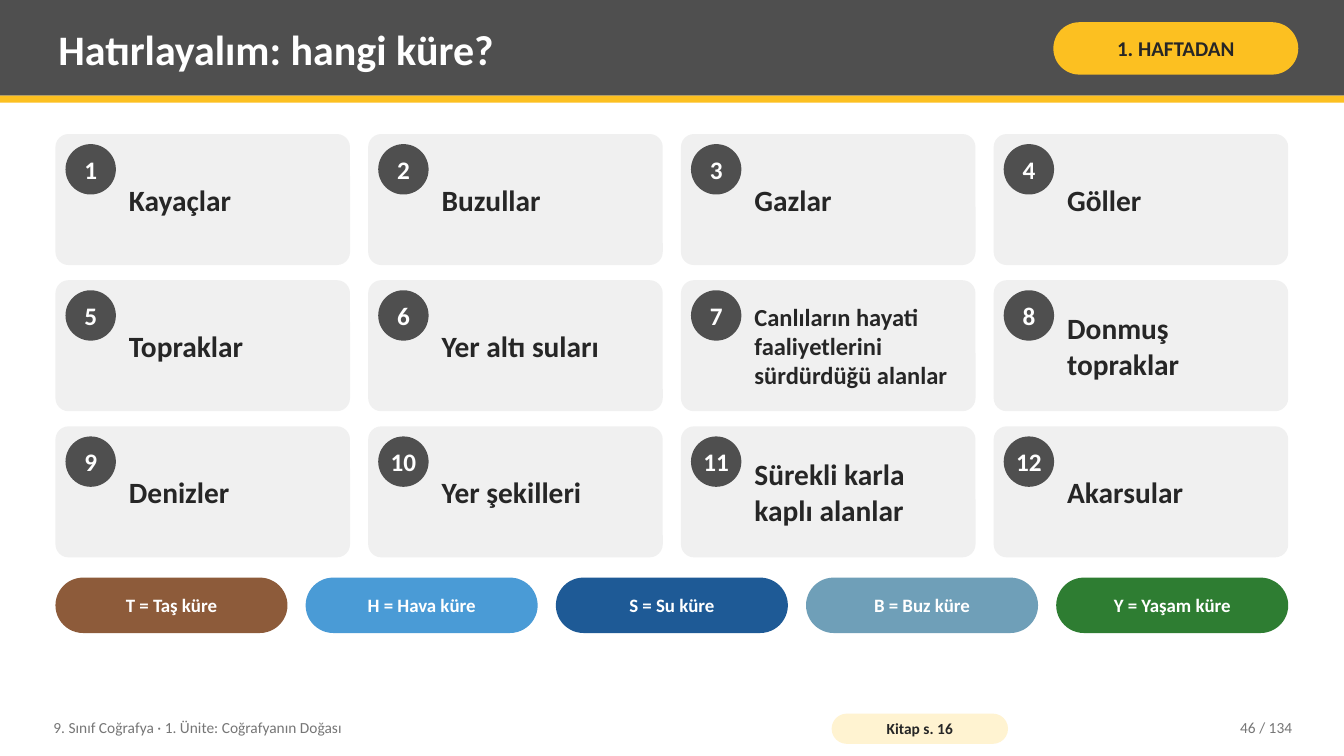
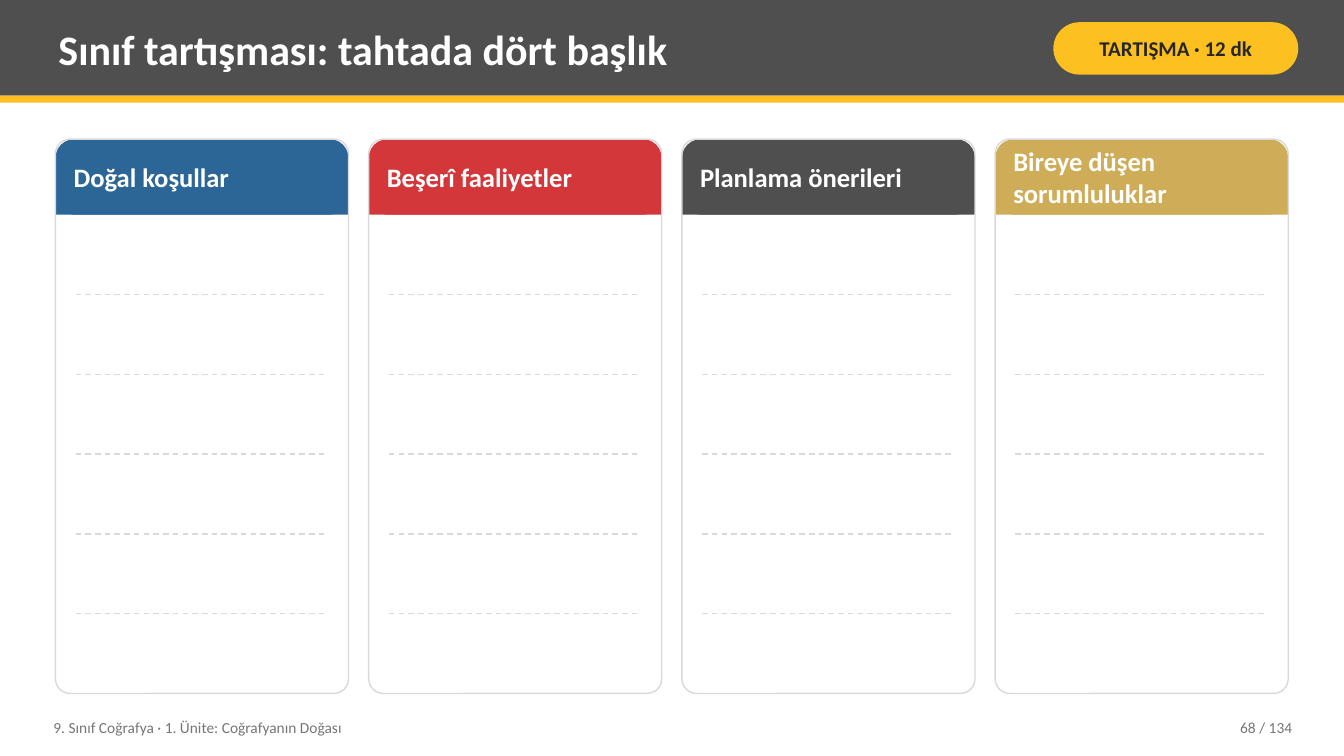
from lxml.etree import SubElement
from pptx import Presentation
from pptx.dml.color import RGBColor
from pptx.enum.dml import MSO_LINE
from pptx.enum.shapes import MSO_CONNECTOR as Connector, MSO_SHAPE as Shape
from pptx.enum.text import MSO_ANCHOR as Anchor, PP_ALIGN as Align
from pptx.oxml.ns import qn
from pptx.util import Inches, Pt

SLIDE_SIZE = Inches(13.333), Inches(7.5)
GRID_COLUMNS, GRID_ROWS = 160, 90
CELL = SLIDE_SIZE[1] / GRID_ROWS
CONTENT_LEFT, CONTENT_WIDTH = 6.6, 146.76

DARK, YELLOW, INK, WHITE = "4F4F4F", "FCC021", "262626", "FFFFFF"
CARD, CREAM, MUTED, RULE = "F0F0F0", "FFF3D1", "767676", "D9D9D9"

TEXT_INSETS = (0.96, 0.48)
BADGE_INSETS = (0.6, 0.24)
PILL_INSETS = (1.68, 0.96)
TAG_INSETS = (0.48, 0)
NO_INSETS = (0, 0)


def rgb(code):
    return RGBColor.from_string(code)


def cells(*lengths):
    return [round(length * CELL) for length in lengths]


def split(start, total, count, gap):
    """Return the (start, size) of equal tracks with equal gaps."""
    size = (total - gap * (count - 1)) / count
    return [(start + i * (size + gap), size) for i in range(count)]


class Deck:
    """Holds the style and the current slide; all lengths are grid cells."""

    def __init__(self):
        self.file = Presentation()
        self.file.slide_width, self.file.slide_height = SLIDE_SIZE
        self.page = None

    def start_page(self, title, badge, number, book=None):
        self.page = self.file.slides.add_slide(self.file.slide_layouts[6])
        self.shape((0, 0, GRID_COLUMNS, 11.4), DARK)
        self.shape((0, 11.4, GRID_COLUMNS, 0.84), YELLOW)
        self.text((6, 0.84, 117, 9.84), title, 30, WHITE)
        self.pill((125.4, 2.64, 29.16, 6.24), YELLOW, badge, 15, INK, BADGE_INSETS)
        self.text((5.4, 84.48, 91.2, 4.32),
                  "9. Sınıf Coğrafya · 1. Ünite: Coğrafyanın Doğası",
                  11, MUTED, bold=False)
        if book:
            self.pill((99, 84.96, 21, 3.6), CREAM, book, 11, INK, TAG_INSETS)
        self.text((135.6, 84.48, 19.2, 4.32), f"{number} / 134",
                  11, MUTED, bold=False, align=Align.RIGHT)

    def shape(self, box, fill=None, kind=Shape.RECTANGLE, corner=None, line=None):
        shape = self.page.shapes.add_shape(kind, *cells(*box))
        shape.shadow.inherit = False
        if corner is not None:
            shape.adjustments[0] = corner
        if fill:
            shape.fill.solid()
            shape.fill.fore_color.rgb = rgb(fill)
        else:
            shape.fill.background()
        if line:
            shape.line.color.rgb = rgb(line)
            shape.line.width = Pt(1)
        else:
            shape.line.fill.background()
        return shape

    def rounded(self, box, fill=None, corner=0.1, line=None):
        return self.shape(box, fill, Shape.ROUNDED_RECTANGLE, corner, line)

    def label(self, shape, words, size, color, insets=TEXT_INSETS,
              align=Align.LEFT, bold=True, wrap=True):
        side, edge = cells(*insets)
        frame = shape.text_frame
        frame_format = {
            "word_wrap": wrap, "vertical_anchor": Anchor.MIDDLE,
            "margin_left": side, "margin_right": side,
            "margin_top": edge, "margin_bottom": edge,
        }
        for name, value in frame_format.items():
            setattr(frame, name, value)
        para = frame.paragraphs[0]
        para.alignment = align
        span = para.add_run()
        span.text = words
        span_format = {"name": "Calibri", "size": Pt(size), "bold": bold}
        for name, value in span_format.items():
            setattr(span.font, name, value)
        span.font.color.rgb = rgb(color)

    def text(self, box, words, size, color, **options):
        self.label(self.page.shapes.add_textbox(*cells(*box)),
                   words, size, color, **options)

    def pill(self, box, fill, words, size, color, insets):
        self.label(self.rounded(box, fill, 0.5), words, size, color,
                   insets, Align.CENTER)

    def number_dot(self, left, top, number):
        dot = self.shape((left, top, 6, 6), DARK, Shape.OVAL)
        self.label(dot, str(number), 18, WHITE, NO_INSETS, Align.CENTER, wrap=False)

    def dashed_rule(self, left, right, y):
        rule = self.page.shapes.add_connector(
            Connector.STRAIGHT, *cells(left, y, right, y))
        rule.line.color.rgb = rgb(RULE)
        rule.line.width = Pt(1)
        rule.line.dash_style = MSO_LINE.DASH
        SubElement(rule._element.spPr, qn("a:effectLst"))

    def numbered_card(self, box, number, words, size):
        left, top, width, height = box
        self.rounded(box, CARD)
        self.number_dot(left + 1.2, top + 1.2, number)
        self.text((left + 7.8, top + 0.6, width - 9, height - 1.2),
                  words, size, INK)

    def ruled_column(self, box, heading, color, head=9, rows=6):
        left, top, width, height = box
        self.rounded(box, WHITE, 0.05)
        self.rounded((left, top, width, head), color, 0.25)
        self.shape((left, top + head / 2, width, head / 2), color)
        self.text((left + 1.2, top, width - 2.4, head), heading, 19, WHITE)
        self.rounded(box, corner=0.05, line=RULE)
        for y, _ in split(top + head, height - head, rows, 0)[1:]:
            self.dashed_rule(left + 2.4, left + width - 2.4, y)


def add_sphere_review(deck):
    deck.start_page("Hatırlayalım: hangi küre?", "1. HAFTADAN", 46, "Kitap s. 16")
    items = [
        "Kayaçlar", "Buzullar", "Gazlar", "Göller",
        "Topraklar", "Yer altı suları",
        "Canlıların hayati faaliyetlerini sürdürdüğü alanlar", "Donmuş topraklar",
        "Denizler", "Yer şekilleri", "Sürekli karla kaplı alanlar", "Akarsular",
    ]
    columns = split(CONTENT_LEFT, CONTENT_WIDTH, 4, 2.16)
    rows = split(15.96, 50.4, 3, 1.8)
    places = [(left, top, width, height)
              for top, height in rows for left, width in columns]
    for number, (box, words) in enumerate(zip(places, items), 1):
        size = 17.5 if len(words) > 30 else 21
        deck.numbered_card(box, number, words, size)

    spheres = {
        "T = Taş küre": "8D5B3A", "H = Hava küre": "4A9BD6",
        "S = Su küre": "1E5A96", "B = Buz küre": "6F9FB8",
        "Y = Yaşam küre": "2E7D32",
    }
    tracks = split(CONTENT_LEFT, CONTENT_WIDTH, len(spheres), 2.16)
    for (left, width), (words, color) in zip(tracks, spheres.items()):
        deck.pill((left, 68.76, width, 6.6), color, words, 13.5, WHITE, PILL_INSETS)


def add_discussion_board(deck):
    deck.start_page("Sınıf tartışması: tahtada dört başlık", "TARTIŞMA · 12 dk", 68)
    headings = {
        "Doğal koşullar": "2C6696", "Beşerî faaliyetler": "D3373A",
        "Planlama önerileri": DARK, "Bireye düşen sorumluluklar": "CEAC58",
    }
    tracks = split(CONTENT_LEFT, CONTENT_WIDTH, len(headings), 2.4)
    for (left, width), (heading, color) in zip(tracks, headings.items()):
        deck.ruled_column((left, 16.56, width, 66), heading, color)


def main():
    deck = Deck()
    add_sphere_review(deck)
    add_discussion_board(deck)
    deck.file.save("out.pptx")


if __name__ == "__main__":
    main()
